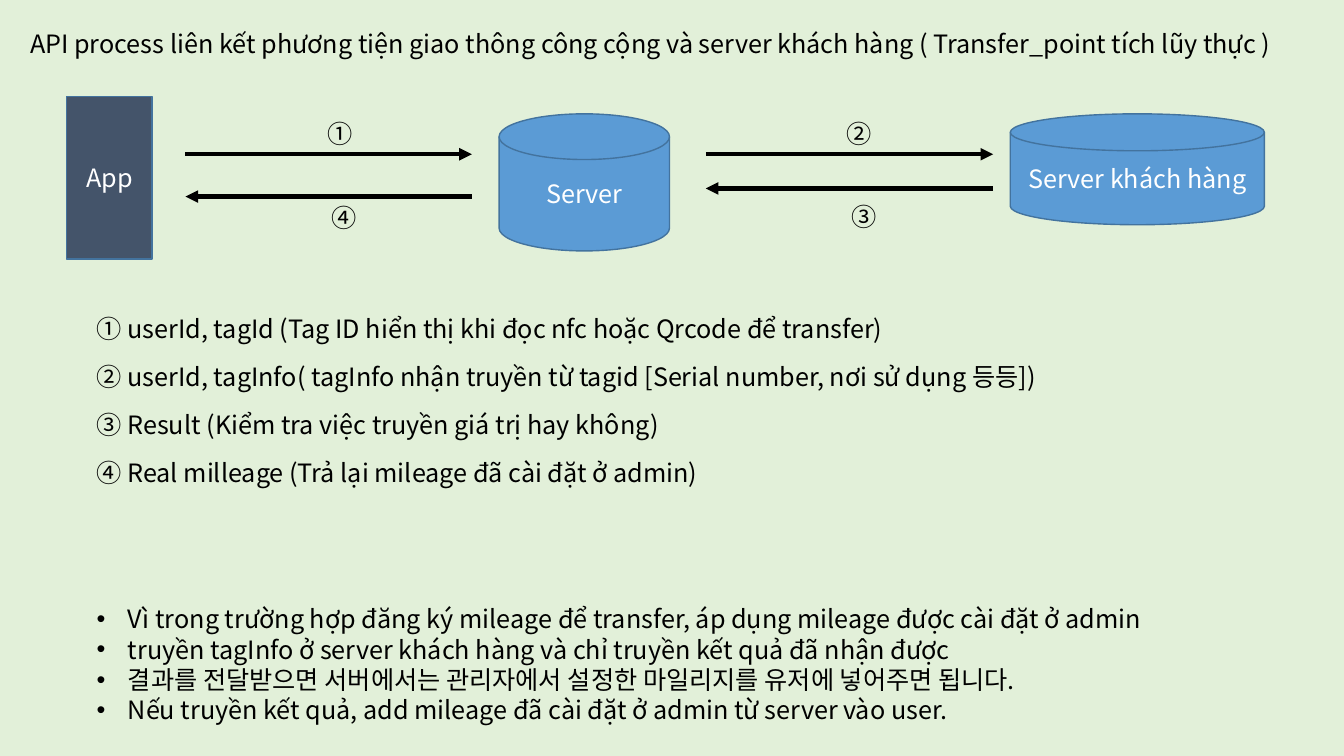
from dataclasses import dataclass

from lxml.etree import SubElement
from pptx import Presentation
from pptx.dml.color import RGBColor
from pptx.enum.shapes import MSO_CONNECTOR, MSO_SHAPE
from pptx.enum.text import MSO_ANCHOR, PP_ALIGN
from pptx.oxml.ns import qn
from pptx.util import Inches, Pt


@dataclass(frozen=True)
class Theme:
    font: str = "Noto Sans CJK KR"
    size: float = 18
    leading: float = 21.6
    background: str = "E2F0D9"
    ink: str = "000000"
    light: str = "FFFFFF"
    app: str = "44546A"
    server: str = "5B9BD5"
    outline: str = "43739E"
    outline_width: float = 1
    arrow_width: float = 3


def write(tf, text, theme, color, align=PP_ALIGN.LEFT, bullet=None, indent=0.31):
    for i, line in enumerate(text.split("\n")):
        p = tf.paragraphs[0] if i == 0 else tf.add_paragraph()
        p.alignment = align
        p.line_spacing = Pt(theme.leading)
        if bullet:
            pPr = p._p.get_or_add_pPr()
            pPr.set("marL", str(Inches(indent)))
            pPr.set("indent", str(-Inches(indent)))
            SubElement(pPr, qn("a:buFont"), typeface="Arial")
            SubElement(pPr, qn("a:buChar"), char=bullet)
        r = p.add_run()
        r.text = line
        r.font.name = theme.font
        r.font.size = Pt(theme.size)
        r.font.color.rgb = RGBColor.from_string(color)
        SubElement(r._r.get_or_add_rPr(), qn("a:ea"), typeface=theme.font)


class Deck:
    def __init__(self, prs, theme):
        self.theme = theme
        self.s = prs.slides.add_slide(prs.slide_layouts[6])
        fill = self.s.background.fill
        fill.solid()
        fill.fore_color.rgb = RGBColor.from_string(theme.background)

    def text(self, text, x, y, w, h=0.4, **fmt):
        sp = self.s.shapes.add_textbox(Inches(x), Inches(y), Inches(w), Inches(h))
        tf = sp.text_frame
        tf.word_wrap = True
        write(tf, text, self.theme, self.theme.ink, **fmt)

    def node(self, text, kind, x, y, w, h, color):
        sp = self.s.shapes.add_shape(kind, Inches(x), Inches(y), Inches(w), Inches(h))
        sp.shadow.inherit = False
        sp.fill.solid()
        sp.fill.fore_color.rgb = RGBColor.from_string(color)
        sp.line.color.rgb = RGBColor.from_string(self.theme.outline)
        sp.line.width = Pt(self.theme.outline_width)
        tf = sp.text_frame
        tf.word_wrap = True
        tf.vertical_anchor = MSO_ANCHOR.MIDDLE
        write(tf, text, self.theme, self.theme.light, align=PP_ALIGN.CENTER)

    def arrow(self, x1, x2, y):
        sp = self.s.shapes.add_connector(
            MSO_CONNECTOR.STRAIGHT, Inches(x1), Inches(y), Inches(x2), Inches(y))
        sp.line.color.rgb = RGBColor.from_string(self.theme.ink)
        sp.line.width = Pt(self.theme.arrow_width)
        SubElement(sp.line._get_or_add_ln(), qn("a:tailEnd"), type="triangle")
        SubElement(sp._element.spPr, qn("a:effectLst"))


prs = Presentation()
prs.slide_width, prs.slide_height = Inches(13.33), Inches(7.5)
theme = Theme()
deck = Deck(prs, theme)

deck.text("API process liên kết phương tiện giao thông công cộng và server khách hàng "
          "( Transfer_point tích lũy thực )", 0.2, 0.23, 12.76)

disk = MSO_SHAPE.FLOWCHART_MAGNETIC_DISK
deck.node("App", MSO_SHAPE.RECTANGLE, 0.66, 0.96, 0.85, 1.61, theme.app)
deck.node("Server", disk, 4.95, 1.13, 1.69, 1.36, theme.server)
deck.node("Server khách hàng", disk, 10.02, 1.13, 2.52, 1.1, theme.server)

calls = [
    ("①", 1.84, 4.68, 1.53, 3.15, 1.12),
    ("②", 7, 9.85, 1.53, 8.3, 1.12),
    ("③", 9.85, 7, 1.87, 8.35, 1.95),
    ("④", 4.68, 1.84, 1.95, 3.19, 1.96),
]
for number, start, end, y, label_x, label_y in calls:
    deck.arrow(start, end, y)
    deck.text(number, label_x, label_y, 0.45)

steps = [
    "① userId, tagId (Tag ID hiển thị khi đọc nfc hoặc Qrcode để transfer)",
    "② userId, tagInfo( tagInfo nhận truyền từ tagid [Serial number, nơi sử dụng 등등])",
    "③ Result (Kiểm tra việc truyền giá trị hay không)",
    "④ Real milleage (Trả lại mileage đã cài đặt ở admin)",
]
for i, step in enumerate(steps):
    deck.text(step, 0.86, 3.06 + 0.475 * i, 10.12)

notes = [
    "Vì trong trường hợp đăng ký mileage để transfer, áp dụng mileage được cài đặt ở admin",
    "truyền tagInfo ở server khách hàng và chỉ truyền kết quả đã nhận được",
    "결과를 전달받으면 서버에서는 관리자에서 설정한 마일리지를 유저에 넣어주면 됩니다.",
    "Nếu truyền kết quả, add mileage đã cài đặt ở admin từ server vào user.",
]
deck.text("\n".join(notes), 0.86, 5.94, 11.24, 1.32, bullet="•")

prs.save("out.pptx")
